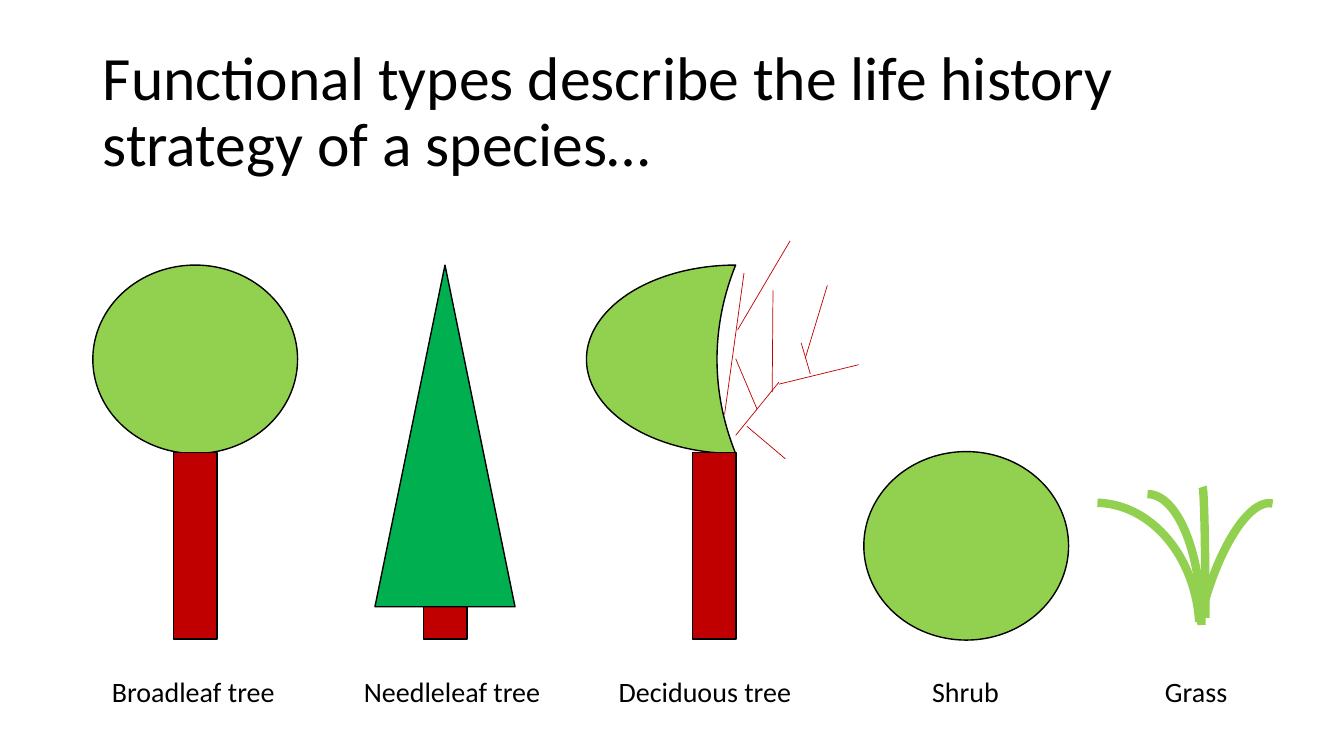
import pptx
import pptx.util
import pptx.dml.color
import pptx.enum.shapes
import pptx.enum.text
import pptx.oxml.ns
import lxml.etree

Cm = pptx.util.Cm
Pt = pptx.util.Pt
PRESET = pptx.enum.shapes.MSO_SHAPE

COLORS = {"leaf": "92D050", "needle": "00B050", "wood": "C00000", "ink": "000000"}

TRUNK_TOP, TRUNK_WIDTH, TRUNK_HEIGHT = 11.4, 1.1, 4.7
CROWN_TOP, CROWN_WIDTH, CROWN_HEIGHT = 6.68, 5.16, 4.75
LABEL_TOP, LABEL_HEIGHT = 16.87, 1.12

# x1, y1, x2, y2 of each bare branch, in cm
BRANCHES = [
    (18.54, 10.97, 19.63, 9.63),
    (18.54, 9.04, 19.08, 10.31),
    (19.48, 7.32, 19.46, 9.88),
    (19.63, 9.68, 21.64, 9.19),
    (18.26, 10.44, 18.75, 6.88),
    (18.59, 8.31, 19.91, 6.07),
    (20.19, 8.64, 20.42, 9.42),
    (20.85, 7.19, 20.29, 9.04),
    (18.82, 10.74, 19.79, 11.56),
]

# text, left, width in cm
LABELS = [
    ("Broadleaf tree", 2.57, 4.67),
    ("Needleleaf tree", 8.92, 5.0),
    ("Deciduous tree", 15.34, 4.9),
    ("Shrub", 23.24, 2.21),
    ("Grass", 29.11, 2.11),
]


def rgb(name):
    return pptx.dml.color.RGBColor.from_string(COLORS[name])


def add_text(slide, text, left, top, width, height, *, size, wrap=False,
             anchor=pptx.enum.text.MSO_ANCHOR.TOP, line_spacing=None):
    frame = slide.shapes.add_textbox(Cm(left), Cm(top), Cm(width), Cm(height)).text_frame
    frame.word_wrap = wrap
    frame.vertical_anchor = anchor
    paragraph = frame.paragraphs[0]
    paragraph.line_spacing = line_spacing
    run = paragraph.add_run()
    run.text = text
    run.font.name = "Calibri"
    run.font.size = Pt(size)
    run.font.color.rgb = rgb("ink")


def add_part(slide, preset, left, top, width, height, *, fill=None, line="ink", weight=1):
    part = slide.shapes.add_shape(preset, Cm(left), Cm(top), Cm(width), Cm(height))
    part.shadow.inherit = False
    if fill:
        part.fill.solid()
        part.fill.fore_color.rgb = rgb(fill)
    else:
        part.fill.background()
    part.line.color.rgb = rgb(line)
    part.line.width = Pt(weight)
    return part


def add_trunk(slide, left):
    add_part(slide, PRESET.RECTANGLE, left, TRUNK_TOP, TRUNK_WIDTH, TRUNK_HEIGHT, fill="wood")


def add_round_crown(slide, left, top):
    add_part(slide, PRESET.OVAL, left, top, CROWN_WIDTH, CROWN_HEIGHT, fill="leaf")


def add_branch(slide, x1, y1, x2, y2):
    branch = slide.shapes.add_connector(
        pptx.enum.shapes.MSO_CONNECTOR.STRAIGHT, Cm(x1), Cm(y1), Cm(x2), Cm(y2))
    branch.line.color.rgb = rgb("wood")
    branch.line.width = Pt(0.5)
    lxml.etree.SubElement(branch.element.spPr, pptx.oxml.ns.qn("a:effectLst"))


def add_blade(slide, left, top, width, height):
    return add_part(slide, PRESET.ARC, left, top, width, height, line="leaf", weight=6)


def add_grass(slide):
    add_blade(slide, 27.56, 12.45, 2.72, 6.6)
    right_blade = add_blade(slide, 30.2, 12.6, 2.21, 6.6)
    right_blade.rotation = 13.4
    right_blade.element.spPr.find(pptx.oxml.ns.qn("a:xfrm")).set("flipH", "1")
    add_blade(slide, 30.23, 12.27, 0.15, 6.6)
    left_blade = add_blade(slide, 24.97, 12.67, 5.26, 6.5)
    left_blade.adjustments[0] = 162.607
    left_blade.adjustments[1] = 212.736


def main():
    deck = pptx.Presentation()
    deck.slide_width, deck.slide_height = Cm(33.87), Cm(19.05)
    slide = deck.slides.add_slide(deck.slide_layouts[6])

    # Title
    add_text(slide, "Functional types describe the life history strategy of a species…",
             2.34, 1.02, 29.21, 3.68, size=44, wrap=True, line_spacing=0.9,
             anchor=pptx.enum.text.MSO_ANCHOR.MIDDLE)

    # Broadleaf tree
    add_round_crown(slide, 2.34, CROWN_TOP)
    add_trunk(slide, 4.37)

    # Needleleaf tree
    add_trunk(slide, 10.67)
    add_part(slide, PRESET.ISOSCELES_TRIANGLE, 9.45, CROWN_TOP, 3.53, 8.61, fill="needle")

    # Deciduous tree, half in leaf and half bare
    half_crown = add_part(slide, PRESET.MOON, 14.78, CROWN_TOP, 3.76, CROWN_HEIGHT, fill="leaf")
    half_crown.adjustments[0] = 0.875
    add_trunk(slide, 17.45)
    for branch in BRANCHES:
        add_branch(slide, *branch)

    # Shrub and grass
    add_round_crown(slide, 21.77, 11.38)
    add_grass(slide)

    # Labels
    for text, left, width in LABELS:
        add_text(slide, text, left, LABEL_TOP, width, LABEL_HEIGHT, size=20)

    deck.save("out.pptx")


if __name__ == "__main__":
    main()
